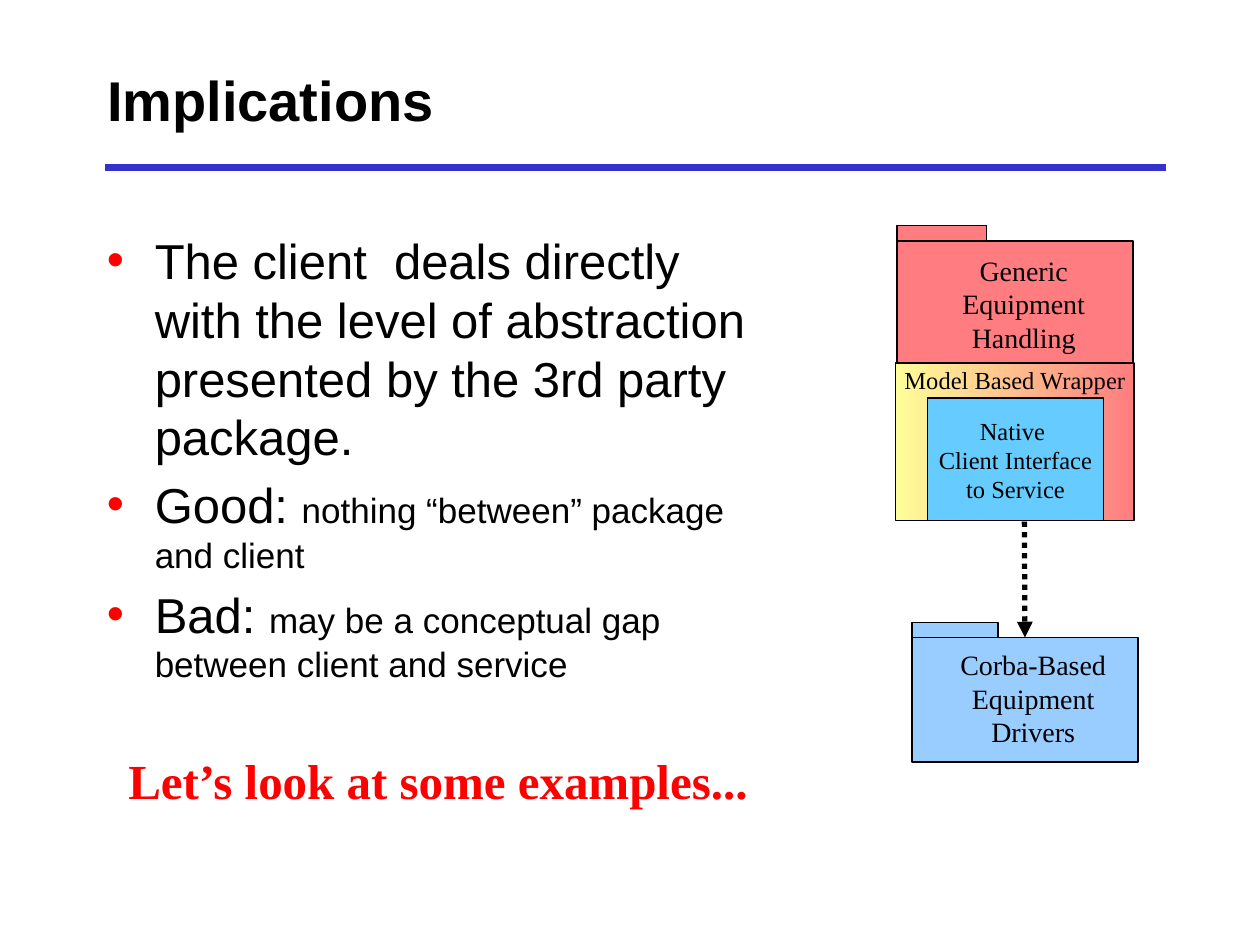
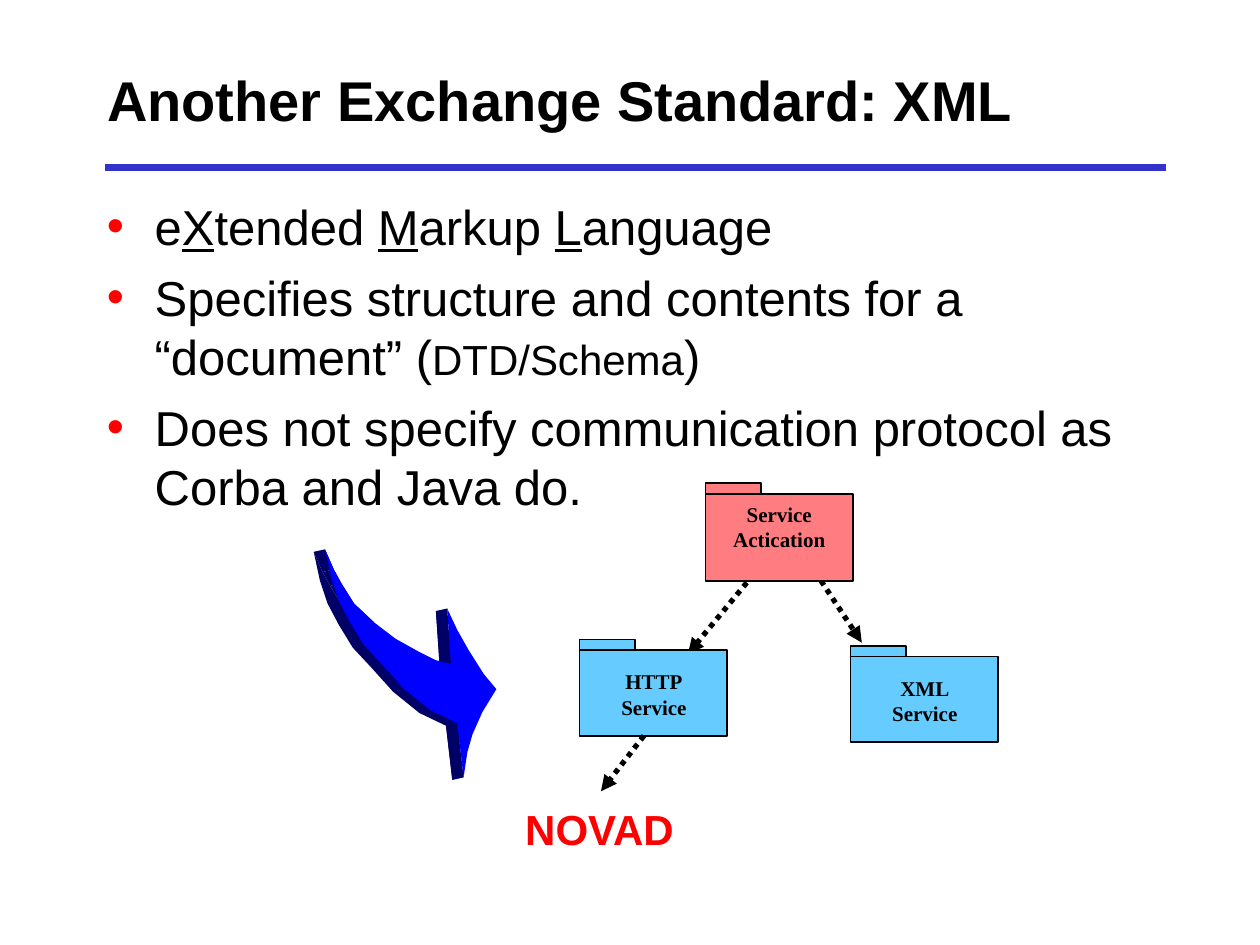
"""Build two slides on service interfaces and the XML exchange standard."""
from lxml import etree
from pptx import Presentation
from pptx.dml.color import RGBColor
from pptx.enum import dml, shapes, text
from pptx.oxml.ns import qn
from pptx.util import Inches, Pt

BLACK = RGBColor(0x00, 0x00, 0x00)
RED = RGBColor(0xFF, 0x00, 0x00)
RULE_BLUE = RGBColor(0x33, 0x33, 0xCC)
CORAL = RGBColor(0xFF, 0x7C, 0x80)
YELLOW = RGBColor(0xFF, 0xFF, 0x99)
PALE_BLUE = RGBColor(0x99, 0xCC, 0xFF)
SKY = RGBColor(0x66, 0xCC, 0xFF)
ARROW_FRONT = RGBColor(0x00, 0x00, 0xFF)
ARROW_SIDE = RGBColor(0x00, 0x00, 0x66)
SANS, SERIF = "Arial", "Times New Roman"

deck = Presentation()
deck.slide_width, deck.slide_height = Inches(10), Inches(7.5)
COLUMN = deck.slide_width / 100
ROW = deck.slide_height / 75


def place(page, at, fill=None, label="", size=16, color=BLACK, font=SERIF,
          bold=False, align=text.PP_ALIGN.CENTER, outline=1):
    """Add an outlined rectangle, or a text box when there is a label."""
    left, top, width, height = at
    frame = [int(left * COLUMN), int(top * ROW), int(width * COLUMN), int(height * ROW)]
    if not label:
        box = page.shapes.add_shape(shapes.MSO_SHAPE.RECTANGLE, *frame)
        box.shadow.inherit = False
        box.fill.solid()
        box.fill.fore_color.rgb = fill
        box.line.color.rgb = BLACK
        box.line.width = Pt(outline)
        return box
    box = page.shapes.add_textbox(*frame)
    box.text_frame.text = label
    box.text_frame.word_wrap = False
    box.text_frame.auto_size = text.MSO_AUTO_SIZE.SHAPE_TO_FIT_TEXT
    for para in box.text_frame.paragraphs:
        para.alignment = align
        for span in para.runs:
            span.font.size, span.font.name, span.font.bold = Pt(size), font, bold
            span.font.color.rgb = color
    return box


def draw_line(page, start, end, color=BLACK, width=3, arrow=True):
    """Add a straight line, dotted with an arrowhead unless arrow is False."""
    line = page.shapes.add_connector(
        shapes.MSO_CONNECTOR.STRAIGHT, int(start[0] * COLUMN), int(start[1] * ROW),
        int(end[0] * COLUMN), int(end[1] * ROW))
    line.line.color.rgb = color
    line.line.width = Pt(width)
    properties = line.element.spPr
    if arrow:
        line.line.dash_style = dml.MSO_LINE.ROUND_DOT
        etree.SubElement(properties.find(qn("a:ln")), qn("a:tailEnd"), type="triangle")
    etree.SubElement(properties, qn("a:effectLst"))
    return line


contents = [
    ("Implications", (7.5, 17.8, 53.2, 39.8), 5, [
        [("The client  deals directly with the level of abstraction "
          "presented by the 3rd party package.", 28, False)],
        [("Good: ", 28, False), ("nothing “between” package and client", 20, False)],
        [("Bad: ", 28, False),
         ("may be a conceptual gap between client and service", 20, False)]]),
    ("Another Exchange Standard: XML", (7.5, 15.1, 85, 27.4), 7, [
        [("e", 28, False), ("X", 28, True), ("tended ", 28, False), ("M", 28, True),
         ("arkup ", 28, False), ("L", 28, True), ("anguage", 28, False)],
        [("Specifies structure and contents for a “document” (", 28, False),
         ("DTD/Schema", 24, False), (")", 28, False)],
        [("Does not specify communication protocol as Corba and Java do.", 28, False)]]),
]
pages = []
for heading, (left, top, width, height), gap, bullets in contents:
    page = deck.slides.add_slide(deck.slide_layouts[5])
    pages.append(page)
    draw_line(page, (8.3, 13.3), (92.5, 13.3), RULE_BLUE, 4, arrow=False)

    title = page.shapes.title
    title.left, title.top = int(7.5 * COLUMN), int(3.3 * ROW)
    title.width, title.height = int(85 * COLUMN), int(9.2 * ROW)
    title.text_frame.text = heading
    title.text_frame.vertical_anchor = text.MSO_ANCHOR.MIDDLE
    title.text_frame.auto_size = text.MSO_AUTO_SIZE.NONE
    para = title.text_frame.paragraphs[0]
    para.alignment = text.PP_ALIGN.LEFT
    font = para.runs[0].font
    font.name, font.size, font.bold = SANS, Pt(32), True
    font.color.rgb = BLACK

    body = page.shapes.add_textbox(int(left * COLUMN), int(top * ROW),
                                   int(width * COLUMN), int(height * ROW)).text_frame
    body.word_wrap = True
    for number, spans in enumerate(bullets):
        para = body.add_paragraph() if number else body.paragraphs[0]
        if number:
            para.space_before = Pt(gap)
        layout = para._p.get_or_add_pPr()
        layout.set("marL", str(Inches(0.38)))
        layout.set("indent", str(-Inches(0.38)))
        tint = etree.SubElement(layout, qn("a:buClr"))
        etree.SubElement(tint, qn("a:srgbClr"), val=str(RED))
        etree.SubElement(layout, qn("a:buFont"), typeface=SANS)
        etree.SubElement(layout, qn("a:buChar"), char="•")
        for words, size, underlined in spans:
            span = para.add_run()
            span.text = words
            span.font.name, span.font.size = SANS, Pt(size)
            span.font.color.rgb = BLACK
            if underlined:
                span.font.underline = True

implications, xml_page = pages

upper_edge = [(258, 436), (263, 459), (269, 477), (278, 494), (289, 512), (303, 527),
              (321, 547), (342, 564), (363, 574)]
head = [(368, 617), (371, 597), (375, 583), (383, 565), (394, 547), (384, 535),
        (372, 516), (363, 500), (355, 483)]
lower_edge = [(358, 527), (346, 524), (332, 517), (314, 507), (297, 494), (281, 479),
              (271, 463), (265, 452)]
front = upper_edge + head + lower_edge
depth = (-9, 2)
faces = [([(x + depth[0], y + depth[1]) for x, y in front], ARROW_SIDE)]
tail_side = lower_edge[-4:] + upper_edge[:1]
side_edges = [(head[-1], lower_edge[0]), (head[0], upper_edge[-1]),
              *zip(tail_side, tail_side[1:])]
for near, far in side_edges:
    faces.append(([near, far] + [(x + depth[0], y + depth[1]) for x, y in (far, near)],
                  ARROW_SIDE))
faces.append((front, ARROW_FRONT))
for outline, color in faces:
    builder = xml_page.shapes.build_freeform(*outline[0], scale=COLUMN / 10)
    builder.add_line_segments(outline[1:], close=True)
    face = builder.convert_to_shape()
    face.shadow.inherit = False
    face.fill.solid()
    face.fill.fore_color.rgb = color
    face.line.fill.background()

for start, end in (((64.7, 45.4), (68.4, 51)), ((59.8, 45.6), (54.6, 51.9))):
    draw_line(xml_page, start, end)

folders = [
    (implications, (72.4, 50.6, 17.9, 9.9), (6.8, 1.2), PALE_BLUE,
     "Corba-Based\nEquipment\nDrivers", (74.5, 50.9, 15, 9), 16),
    (implications, (71.2, 19.1, 18.7, 9.8), (7.1, 1.2), CORAL,
     "Generic\nEquipment\nHandling", (75.4, 19.6, 11.7, 9), 16),
    (xml_page, (56, 39.2, 11.7, 6.9), (4.4, 0.85), CORAL,
     "Service\nActication", (57.2, 39.3, 9.3, 5), 12),
    (xml_page, (46, 51.6, 11.7, 6.8), (4.4, 0.85), SKY,
     "HTTP\nService", (48.3, 52.6, 7.2, 5), 12),
    (xml_page, (67.5, 52.1, 11.7, 6.8), (4.4, 0.85), SKY,
     "XML\nService", (69.8, 53.1, 7.2, 5), 12),
]
folder_bodies = []
for page, at, (tab_width, tab_height), fill, label, label_at, size in folders:
    folder_bodies.append(place(page, at, fill))
    place(page, (at[0], at[1] - tab_height, tab_width, tab_height), fill)
    place(page, label_at, label=label, size=size, bold=page is xml_page)

wrapper = place(implications, (71.1, 28.8, 18.9, 12.5), CORAL, outline=0.75)
wrapper.fill.gradient()
wrapper.fill.gradient_angle = 0
for stop, color in zip(wrapper.fill.gradient_stops, (YELLOW, CORAL)):
    stop.color.rgb = color
place(implications, (73.6, 31.6, 14, 9.7), SKY, outline=0.75)
place(implications, (70.8, 28.5, 19.6, 3.4), label="Model Based Wrapper", size=14,
      align=text.PP_ALIGN.LEFT)
place(implications, (73.5, 32.5, 14.2, 8), label="Native \nClient Interface\nto Service",
      size=14)
draw_line(implications, (81.3, 41.4), (81.3, 50.6)).end_connect(folder_bodies[0], 0)
place(implications, (9.2, 59.1, 51.3, 5.7), label="Let’s look at some examples...",
      size=28, color=RED, bold=True, align=text.PP_ALIGN.LEFT)

draw_line(xml_page, (51.1, 58.4), (47.7, 62.8))
place(xml_page, (40.7, 63.3, 14, 5), label="NOVAD", size=24, color=RED, font=SANS,
      bold=True, align=text.PP_ALIGN.LEFT)

deck.save("out.pptx")
